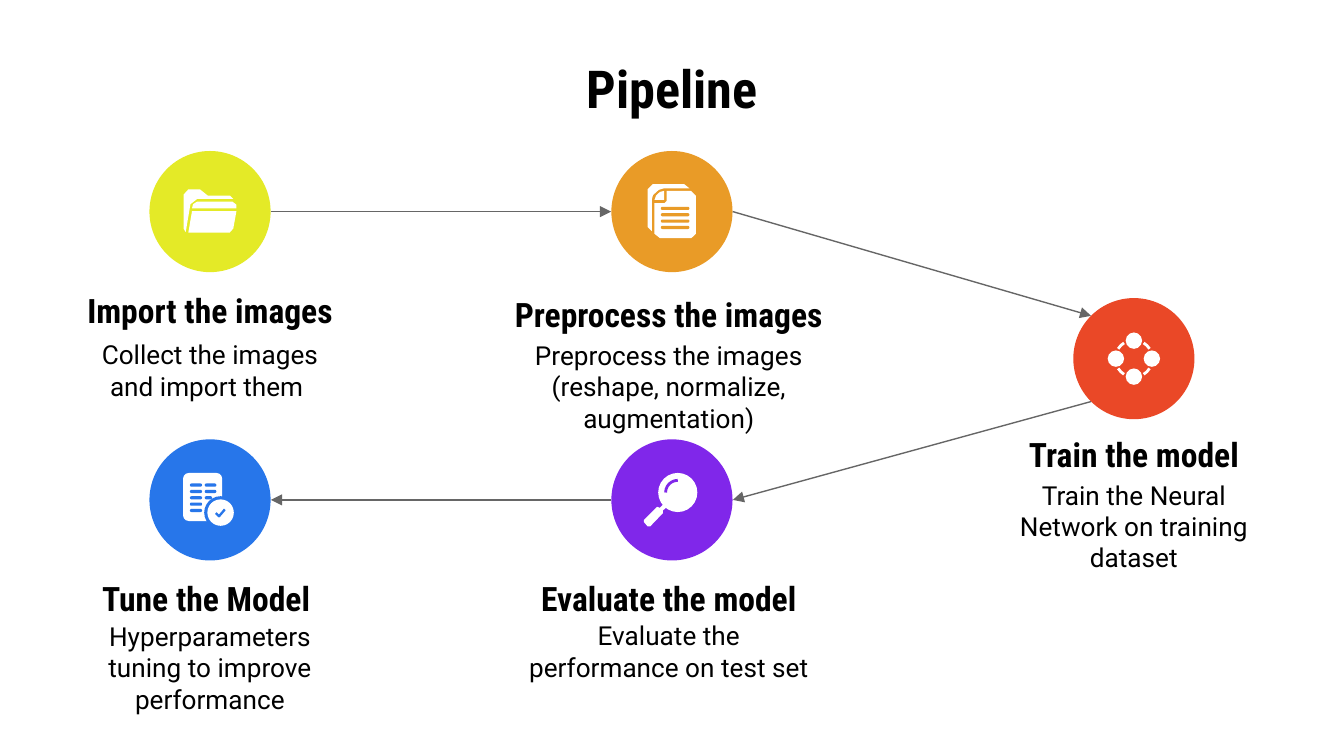
from dataclasses import dataclass

from lxml import etree
from pptx import Presentation
from pptx.dml.color import RGBColor
from pptx.enum.shapes import MSO_CONNECTOR, MSO_SHAPE
from pptx.enum.text import MSO_ANCHOR, PP_ALIGN
from pptx.oxml.ns import qn
from pptx.util import Cm, Pt

OVAL, ROUND, ARC = MSO_SHAPE.OVAL, MSO_SHAPE.ROUNDED_RECTANGLE, MSO_SHAPE.ARC
STRAIGHT = MSO_CONNECTOR.STRAIGHT
MIDDLE, CENTER = MSO_ANCHOR.MIDDLE, PP_ALIGN.CENTER


@dataclass(frozen=True)
class Theme:
    """Colours, fonts and type sizes of the slide."""
    ink: str = "000000"
    white: str = "FFFFFF"
    grey: str = "666666"
    lime: str = "E4EA27"
    amber: str = "E99B27"
    red: str = "EA4827"
    violet: str = "8027EA"
    blue: str = "2776EA"
    head: str = "Roboto Condensed"
    body: str = "Roboto"
    title: float = 28
    label: float = 18
    note: float = 14
    rule: float = 0.75


class Board:
    """Draws styled elements on one slide, in centimetres."""

    def __init__(self, slide, theme):
        """Keep the slide's shapes and the theme."""
        self.shapes = slide.shapes
        self.theme = theme

    def paint(self, shape, fill=None, line=None, width=1.0):
        """Set fill and line, and drop the shadow."""
        shape.shadow.inherit = False
        if fill:
            shape.fill.solid()
            shape.fill.fore_color.rgb = RGBColor.from_string(fill)
        else:
            shape.fill.background()
        if line:
            shape.line.color.rgb = RGBColor.from_string(line)
            shape.line.width = Pt(width)
        else:
            shape.line.fill.background()

    def disc(self, x, y, size, fill):
        """Draw a circle around a centre."""
        half = size / 2
        shape = self.shapes.add_shape(OVAL, Cm(x - half), Cm(y - half), Cm(size), Cm(size))
        self.paint(shape, fill)

    def bar(self, x, y, wide, high, fill, bend=0.5):
        """Draw a rounded bar from its top left corner."""
        shape = self.shapes.add_shape(ROUND, Cm(x), Cm(y), Cm(wide), Cm(high))
        shape.adjustments[0] = bend
        self.paint(shape, fill)

    def arc(self, x, y, radius, start, end, line, width):
        """Draw an arc between two angles in degrees."""
        shape = self.shapes.add_shape(
            ARC, Cm(x - radius), Cm(y - radius), Cm(2 * radius), Cm(2 * radius))
        shape.adjustments[0] = start * 0.6
        shape.adjustments[1] = end * 0.6
        self.paint(shape, line=line, width=width)

    def outline(self, x, y, points, fill=None, line=None, width=1.0):
        """Draw a polygon, or an open line when it has no fill."""
        spots = [(Cm(x + a), Cm(y + b)) for a, b in points]
        build = self.shapes.build_freeform(*spots[0])
        build.add_line_segments(spots[1:], close=bool(fill))
        self.paint(build.convert_to_shape(), fill, line, width)

    def arrow(self, start, end):
        """Draw a thin line with a triangle at its end."""
        link = self.shapes.add_connector(STRAIGHT, *map(Cm, start + end))
        link.line.color.rgb = RGBColor.from_string(self.theme.grey)
        link.line.width = Pt(self.theme.rule)
        etree.SubElement(link.line._get_or_add_ln(), qn("a:tailEnd"), type="triangle")
        etree.SubElement(link._element.spPr, qn("a:effectLst"))

    def text(self, x, y, wide, high, words, font, size, bold=False):
        """Write one centred paragraph in a box."""
        frame = self.shapes.add_textbox(Cm(x), Cm(y), Cm(wide), Cm(high)).text_frame
        frame.word_wrap = True
        frame.vertical_anchor = MIDDLE
        frame.margin_left = frame.margin_right = Cm(0.25)
        frame.margin_top = frame.margin_bottom = Cm(0.25)
        para = frame.paragraphs[0]
        para.alignment = CENTER
        run = para.add_run()
        run.text = words
        run.font.name, run.font.size, run.font.bold = font, Pt(size), bold
        run.font.color.rgb = RGBColor.from_string(self.theme.ink)

    def folder(self, x, y, tone):
        """Draw an open folder."""
        back = [(-0.5, -0.32), (-0.41, -0.42), (-0.19, -0.42), (-0.04, -0.3), (0.38, -0.3),
                (0.44, -0.24), (-0.24, -0.24), (-0.37, -0.14), (-0.46, 0.39), (-0.5, 0.32)]
        sheet = [(-0.24, -0.19), (-0.32, -0.14), (-0.34, -0.06),
                 (0.5, -0.06), (0.5, -0.13), (0.42, -0.19)]
        front = [(-0.34, -0.01), (-0.41, 0.4), (0.37, 0.4), (0.44, 0.32), (0.5, -0.01)]
        for part in (back, sheet, front):
            self.outline(x, y, part, self.theme.white)

    def pages(self, x, y, tone):
        """Draw two stacked pages with lines of text."""
        back = [(-0.46, -0.42), (-0.36, -0.52), (0.23, -0.52), (0.33, -0.44), (-0.15, -0.44),
                (-0.25, -0.41), (-0.36, -0.31), (-0.38, -0.22), (-0.38, 0.37), (-0.46, 0.29)]
        front = [(-0.1, -0.39), (0.36, -0.39), (0.45, -0.3), (0.45, 0.42), (0.37, 0.5),
                 (-0.23, 0.5), (-0.33, 0.42), (-0.33, -0.16), (-0.14, -0.16), (-0.1, -0.2)]
        fold = [(-0.33, -0.22), (-0.3, -0.3), (-0.23, -0.37), (-0.15, -0.39), (-0.15, -0.22)]
        for part in (back, front, fold):
            self.outline(x, y, part, self.theme.white)
        for row in range(4):
            self.bar(x - 0.21, y - 0.09 + 0.12 * row, 0.54, 0.06, tone)

    def ring(self, x, y, tone):
        """Draw four nodes joined by arcs."""
        for a, b in ((0, -1), (1, 0), (0, 1), (-1, 0)):
            self.disc(x + 0.34 * a, y + 0.34 * b, 0.31, self.theme.white)
        for mid in range(45, 360, 90):
            self.arc(x, y, 0.35, mid - 13, mid + 13, self.theme.white, 1.5)

    def lens(self, x, y, tone):
        """Draw a magnifying glass."""
        grip = [(-0.53, 0.38), (-0.28, 0.13), (-0.23, 0.15), (-0.15, 0.07), (-0.09, 0.13),
                (-0.17, 0.2), (-0.17, 0.25), (-0.41, 0.5), (-0.46, 0.5), (-0.53, 0.42)]
        self.outline(x, y, grip, self.theme.white)
        self.disc(x + 0.11, y - 0.14, 0.74, self.theme.white)
        self.arc(x + 0.11, y - 0.14, 0.23, 180, 270, tone, 1.5)

    def report(self, x, y, tone):
        """Draw a page with a check badge."""
        self.bar(x - 0.51, y - 0.51, 0.74, 0.91, self.theme.white, 0.15)
        for row, wide in enumerate((0.22, 0.22, 0.14, 0, 0)):
            top = y - 0.31 + 0.12 * row
            self.bar(x - 0.38, top, 0.23, 0.06, tone)
            if wide:
                self.bar(x - 0.1, top, wide, 0.06, tone)
        self.disc(x + 0.2, y + 0.24, 0.62, tone)
        self.disc(x + 0.2, y + 0.24, 0.5, self.theme.white)
        self.outline(x, y, [(0.11, 0.25), (0.17, 0.31), (0.28, 0.18)], line=tone, width=1.25)


def main():
    """Build the pipeline slide and save it."""
    deck = Presentation()
    deck.slide_width, deck.slide_height = Cm(25.4), Cm(14.29)
    theme = Theme()
    board = Board(deck.slides.add_slide(deck.slide_layouts[6]), theme)
    size, half, slant = 2.29, 1.15, 0.81
    left, mid, right = 3.97, 12.7, 21.43
    high, centre, low = 4.0, 6.78, 9.45

    board.text(1.27, 1.14, 22.86, 1.04, "Pipeline", theme.head, theme.title, True)
    steps = [
        (left, high, theme.lime, board.folder, left, 5.41, 6.32, 5.41,
         "Import the images", "Collect the images and import them "),
        (mid, high, theme.amber, board.pages, 12.64, 5.49, 6.63, 6.43,
         "Preprocess the images", "Preprocess the images (reshape, normalize, augmentation)"),
        (right, centre, theme.red, board.ring, right, 8.13, 9.27, 5.41,
         "Train the model", "Train the Neural Network on training dataset"),
        (mid, low, theme.violet, board.lens, 12.64, 10.85, 11.63, 5.87,
         "Evaluate the model", "Evaluate the performance on test set"),
        (left, low, theme.blue, board.report, left, 10.85, 11.94, 5.41,
         "Tune the Model ", "Hyperparameters tuning to improve performance"),
    ]
    for x, y, tone, icon, axis, top, base, wide, label, note in steps:
        board.disc(x, y, size, tone)
        icon(x, y, tone)
        edge = axis - wide / 2
        board.text(edge, top, wide, 0.91, label, theme.head, theme.label, True)
        board.text(edge, base, wide, 1.35, note, theme.body, theme.note)

    board.arrow((left + half, high), (mid - half, high))
    board.arrow((mid + half, high), (right - slant, centre - slant))
    board.arrow((right - slant, centre + slant), (mid + half, low))
    board.arrow((mid - half, low), (left + half, low))
    deck.save("out.pptx")


if __name__ == "__main__":
    main()
